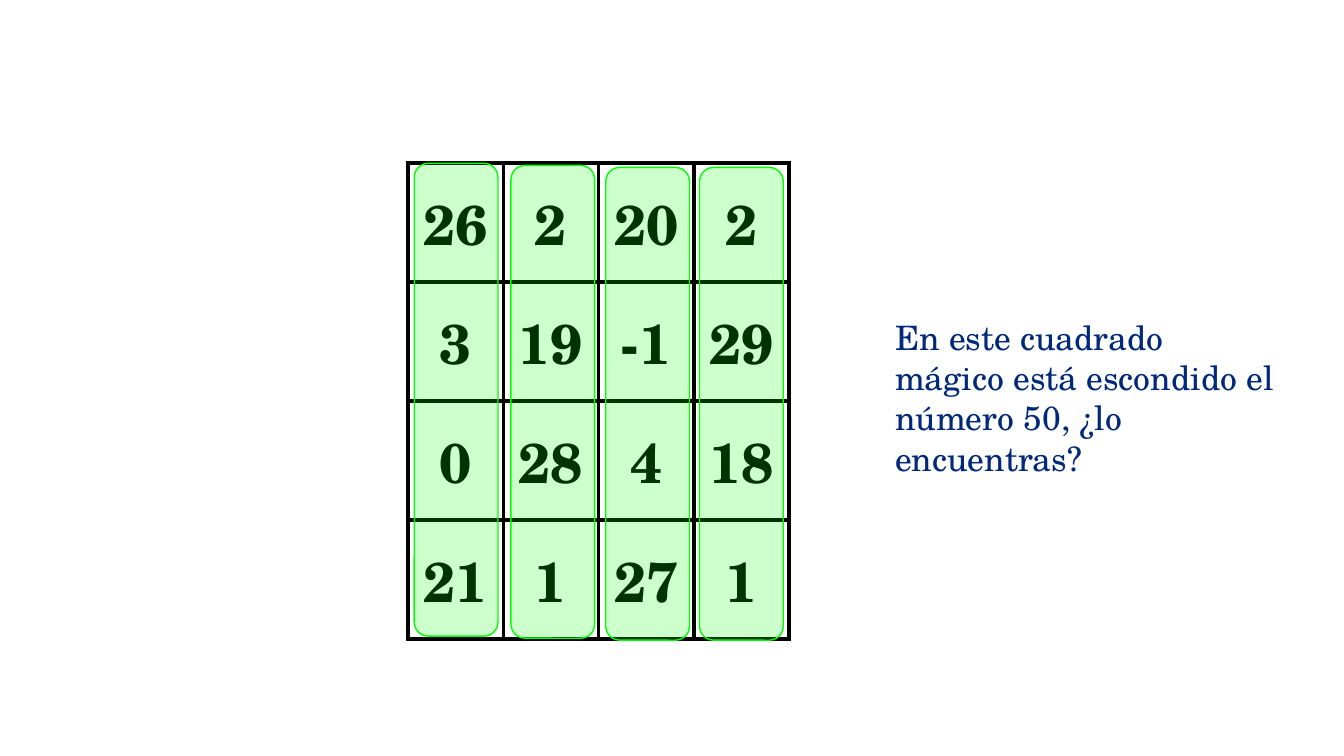
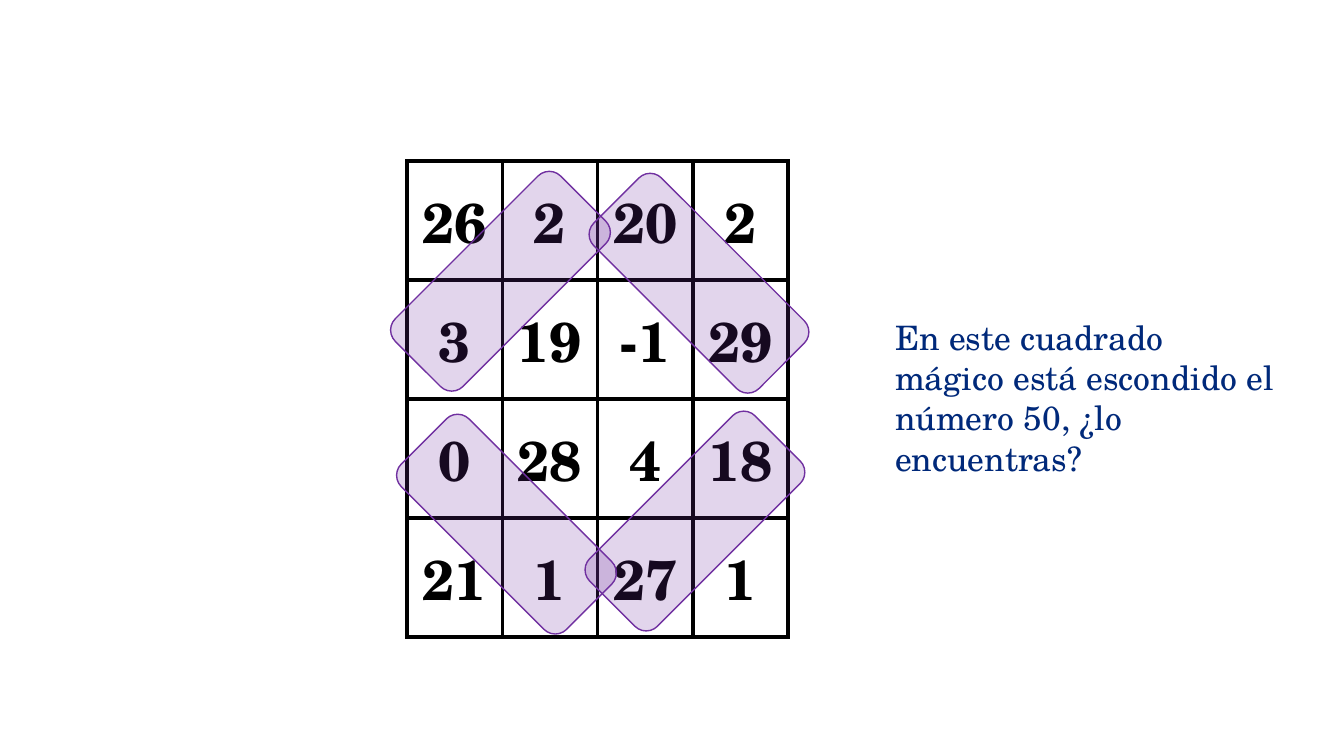
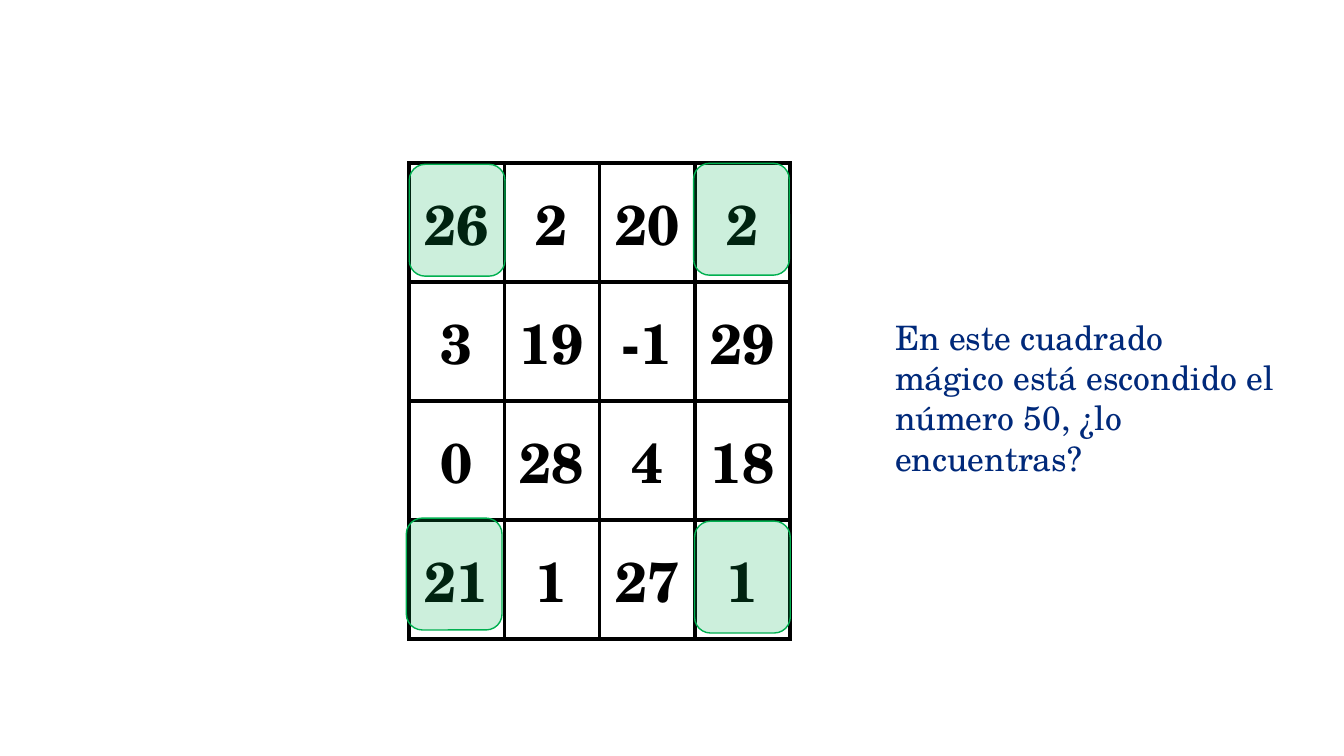
"""Builds three slides that find the number 50 in a magic square."""
from dataclasses import dataclass

from lxml import etree
from pptx import Presentation
from pptx.dml.color import RGBColor
from pptx.enum import shapes, text
from pptx.oxml import ns
from pptx.util import Pt


@dataclass(frozen=True)
class Theme:
    font: str = "TeX Gyre Schola"
    ink: str = "000000"
    question: str = "00297A"
    column: str = "00FF00"
    diagonal: str = "7030A0"
    corner: str = "00B050"
    number_size: int = 40
    question_size: int = 24
    grid_line: int = 3
    highlight_line: int = 1
    highlight_opacity: int = 20


THEME = Theme()
QUESTION = "En este cuadrado mágico está escondido el número 50, ¿lo encuentras?"
QUESTION_BOX = (632.2, 222.5, 289.4, 94.3)
SQUARE = [
    (26, 2, 20, 2),
    (3, 19, -1, 29),
    (0, 28, 4, 18),
    (21, 1, 27, 1),
]
CELL_WIDTH, CELL_HEIGHT = 68, 85

SLIDES = [
    {
        "corner": (291.6, 116.6),
        "color": THEME.column,
        "size": (337.7, 59.8),
        "highlights": [(529.6, 288.4, 270), (462.6, 288.4, 270),
                       (394.9, 287, 270), (325.8, 285.5, 270)],
    },
    {
        "corner": (290.9, 115.2),
        "color": THEME.diagonal,
        "size": (68.4, 167),
        "highlights": [(357.5, 200.9, 45), (361.8, 374.4, 315),
                       (496.4, 372.2, 45), (499.3, 202.3, 315)],
    },
    {
        "corner": (292.3, 116.6),
        "color": THEME.corner,
        "size": (68.4, 79.9),
        "highlights": [(326.5, 157.3, 0), (529.6, 156.6, 0),
                       (324.4, 410, 0), (530.3, 412.2, 0)],
    },
]


def write(paragraph, words, size, color, bold=False):
    run = paragraph.add_run()
    run.text = words
    run.font.name = THEME.font
    run.font.size = Pt(size)
    run.font.bold = bold
    run.font.color.rgb = RGBColor.from_string(color)


def add_borders(cell):
    properties = cell._tc.get_or_add_tcPr()
    for side in ("a:lnL", "a:lnR", "a:lnT", "a:lnB"):
        border = etree.SubElement(properties, ns.qn(side), w=str(Pt(THEME.grid_line)))
        fill = etree.SubElement(border, ns.qn("a:solidFill"))
        etree.SubElement(fill, ns.qn("a:srgbClr"), val=THEME.ink)


def add_square(slide, corner):
    rows, columns = len(SQUARE), len(SQUARE[0])
    size = (columns * CELL_WIDTH, rows * CELL_HEIGHT)
    square = slide.shapes.add_table(rows, columns, *map(Pt, corner + size)).table
    square.first_row = square.horz_banding = False
    for row, numbers in enumerate(SQUARE):
        for column, number in enumerate(numbers):
            cell = square.cell(row, column)
            cell.vertical_anchor = text.MSO_ANCHOR.MIDDLE
            add_borders(cell)
            cell.fill.background()
            paragraph = cell.text_frame.paragraphs[0]
            paragraph.alignment = text.PP_ALIGN.CENTER
            write(paragraph, str(number), THEME.number_size, THEME.ink, bold=True)


def add_highlight(slide, center_x, center_y, angle, size, color):
    width, height = size
    highlight = slide.shapes.add_shape(
        shapes.MSO_SHAPE.ROUNDED_RECTANGLE,
        Pt(center_x - width / 2), Pt(center_y - height / 2), Pt(width), Pt(height))
    highlight.rotation = angle
    highlight.shadow.inherit = False
    highlight.fill.solid()
    highlight.fill.fore_color.rgb = RGBColor.from_string(color)
    tint = highlight._element.spPr.find(ns.qn("a:solidFill")).find(ns.qn("a:srgbClr"))
    etree.SubElement(tint, ns.qn("a:alpha"), val=str(THEME.highlight_opacity * 1000))
    highlight.line.color.rgb = RGBColor.from_string(color)
    highlight.line.width = Pt(THEME.highlight_line)


def add_question(slide):
    frame = slide.shapes.add_textbox(*map(Pt, QUESTION_BOX)).text_frame
    frame.word_wrap = True
    frame.auto_size = text.MSO_AUTO_SIZE.SHAPE_TO_FIT_TEXT
    write(frame.paragraphs[0], QUESTION, THEME.question_size, THEME.question)


def main():
    deck = Presentation()
    deck.slide_width, deck.slide_height = Pt(960), Pt(540)
    for content in SLIDES:
        slide = deck.slides.add_slide(deck.slide_layouts[6])
        add_square(slide, content["corner"])
        for center_x, center_y, angle in content["highlights"]:
            add_highlight(slide, center_x, center_y, angle,
                          content["size"], content["color"])
        add_question(slide)
    deck.save("out.pptx")


if __name__ == "__main__":
    main()
